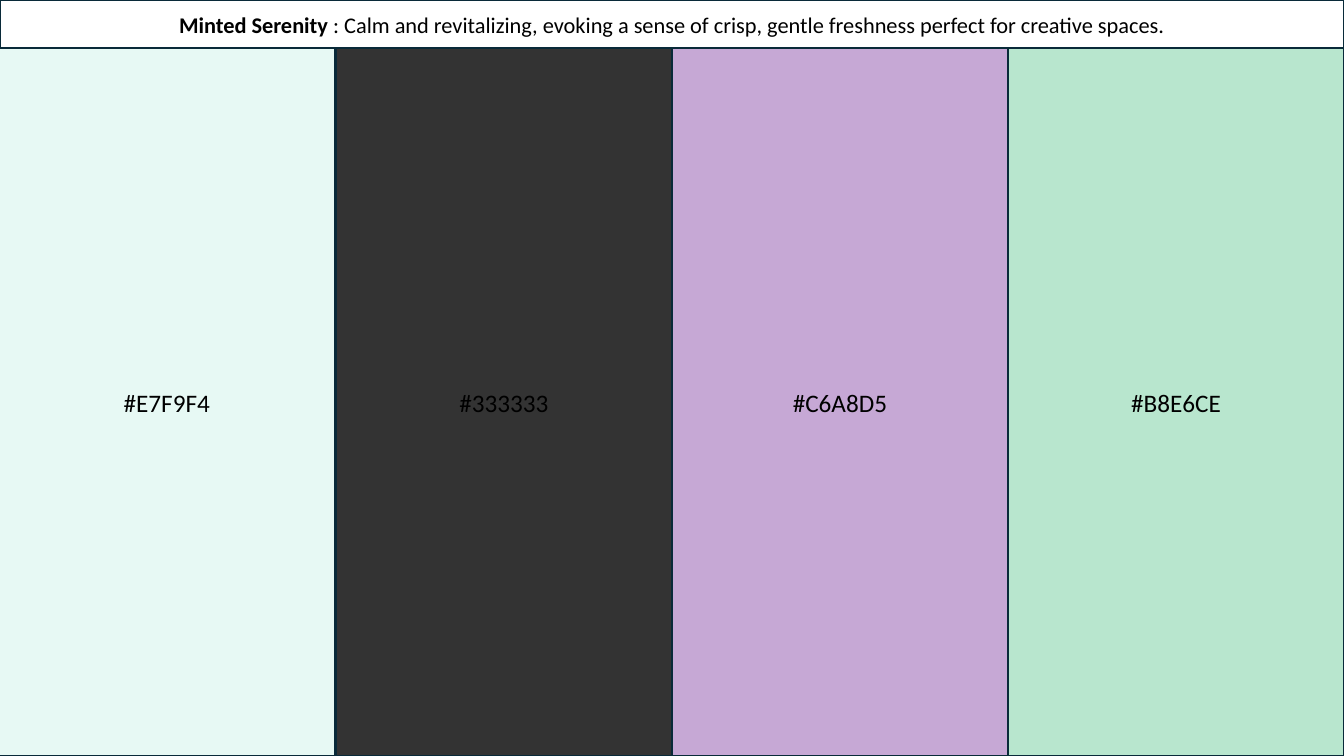
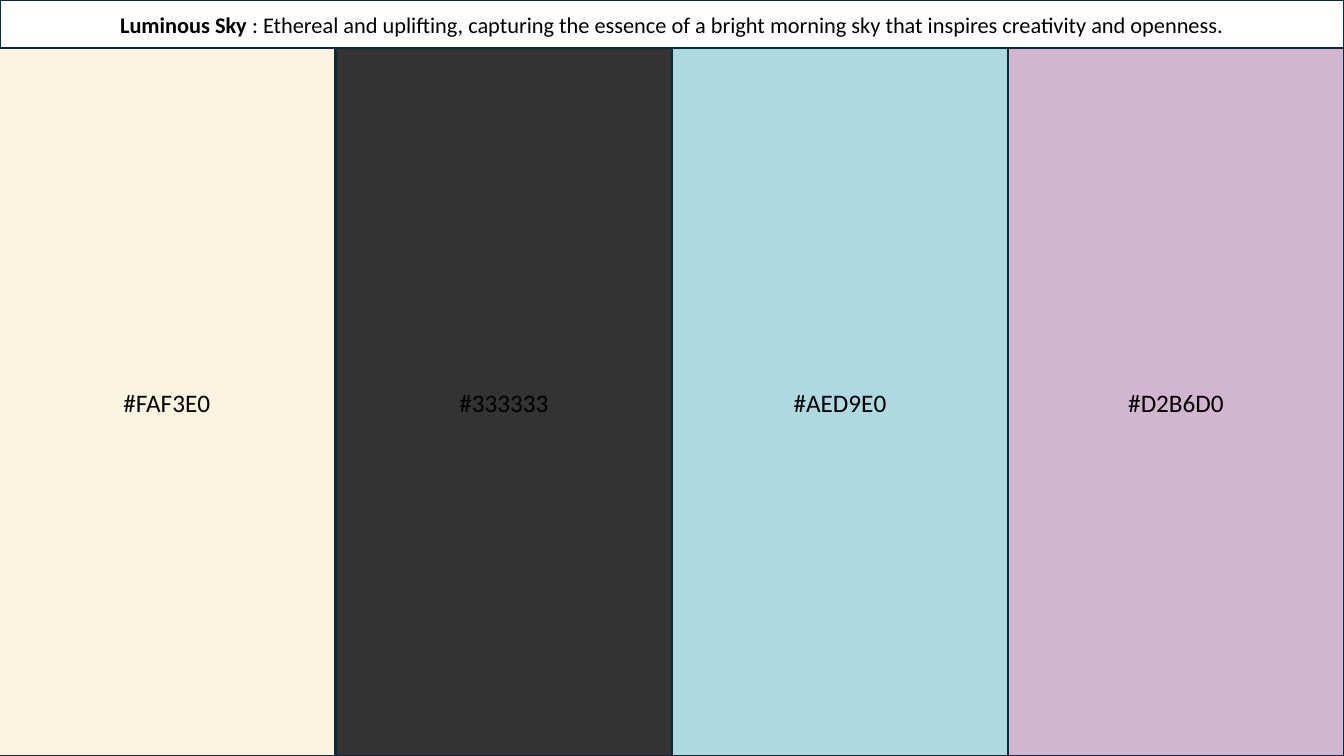
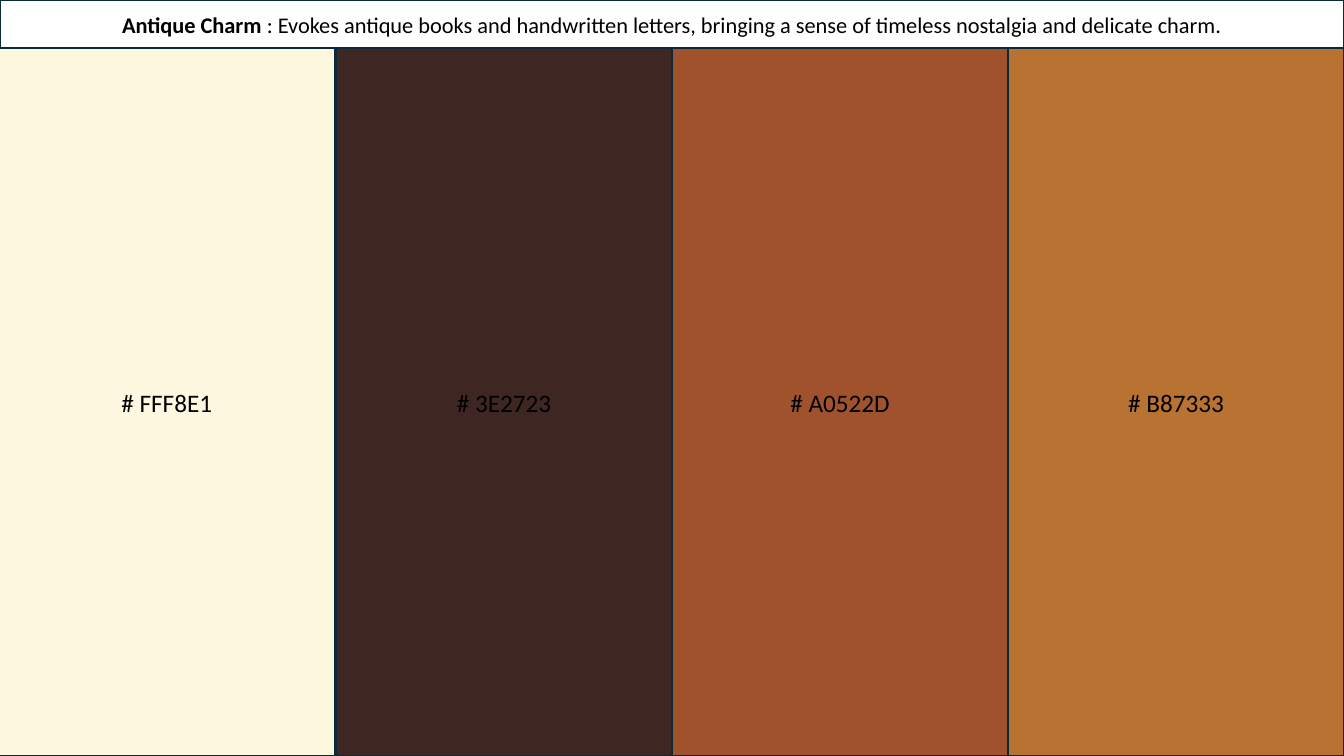
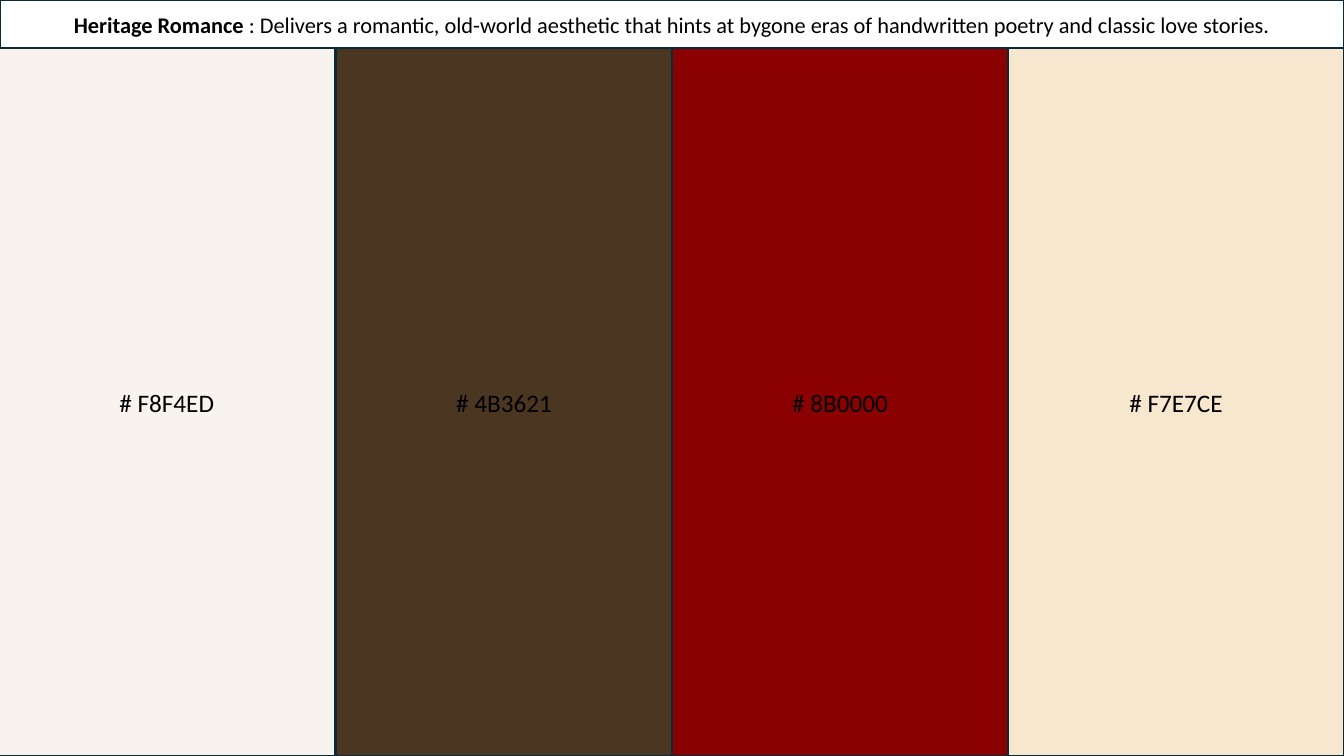
from dataclasses import dataclass

from pptx import Presentation
from pptx.dml.color import RGBColor
from pptx.enum.shapes import MSO_SHAPE
from pptx.enum.text import MSO_ANCHOR, MSO_AUTO_SIZE, PP_ALIGN
from pptx.util import Cm, Pt


@dataclass(frozen=True)
class Theme:
    font: str = "Calibri"
    text: str = "000000"
    band: str = "FFFFFF"
    border: str = "092A39"
    border_width: float = 1.5
    title_size: int = 16
    code_size: int = 18


THEME = Theme()

# Page geometry
SLIDE_WIDTH, SLIDE_HEIGHT = Cm(33.87), Cm(19.05)
BAND_HEIGHT = Cm(1.22)
FIRST_NUDGE = Cm(0.03)  # the first swatch sits slightly past the left edge
DRAW_ORDER = (0, 2, 3, 1)  # the dark swatch lies over its neighbours

# Palettes: name, mood, prefix of the colour codes, colours from left to right
PALETTES = [
    ("Minted Serenity",
     "Calm and revitalizing, evoking a sense of crisp, gentle freshness "
     "perfect for creative spaces.",
     "#", ("E7F9F4", "333333", "C6A8D5", "B8E6CE")),
    ("Luminous Sky",
     "Ethereal and uplifting, capturing the essence of a bright morning sky "
     "that inspires creativity and openness.",
     "#", ("FAF3E0", "333333", "AED9E0", "D2B6D0")),
    ("Antique Charm",
     "Evokes antique books and handwritten letters, bringing a sense of "
     "timeless nostalgia and delicate charm.",
     "# ", ("FFF8E1", "3E2723", "A0522D", "B87333")),
    ("Heritage Romance",
     "Delivers a romantic, old-world aesthetic that hints at bygone eras of "
     "handwritten poetry and classic love stories.",
     "# ", ("F8F4ED", "4B3621", "8B0000", "F7E7CE")),
]


def style_panel(panel, fill, size):
    """Give a panel its fill, border and centred text; return its paragraph."""
    panel.fill.solid()
    panel.fill.fore_color.rgb = RGBColor.from_string(fill)
    panel.line.color.rgb = RGBColor.from_string(THEME.border)
    panel.line.width = Pt(THEME.border_width)
    frame = panel.text_frame
    frame.word_wrap = True
    frame.auto_size = MSO_AUTO_SIZE.NONE
    frame.vertical_anchor = MSO_ANCHOR.MIDDLE
    paragraph = frame.paragraphs[0]
    paragraph.alignment = PP_ALIGN.CENTER
    paragraph.font.name = THEME.font
    paragraph.font.size = Pt(size)
    paragraph.font.color.rgb = RGBColor.from_string(THEME.text)
    return paragraph


def add_title_band(slide, name, mood):
    band = slide.shapes.title
    band.left, band.top = Cm(0), Cm(0)
    band.width, band.height = SLIDE_WIDTH, BAND_HEIGHT
    heading = style_panel(band, THEME.band, THEME.title_size)
    for text, bold in ((f"{name} ", True), (f": {mood}", False)):
        run = heading.add_run()
        run.text = text
        run.font.bold = bold


def add_swatch(slide, left, width, colour, code):
    swatch = slide.shapes.add_shape(
        MSO_SHAPE.RECTANGLE, left, BAND_HEIGHT, width, SLIDE_HEIGHT - BAND_HEIGHT)
    swatch.shadow.inherit = False
    style_panel(swatch, colour, THEME.code_size).add_run().text = code


def add_palette_slide(deck, name, mood, prefix, colours):
    slide = deck.slides.add_slide(deck.slide_layouts[5])  # title only
    add_title_band(slide, name, mood)
    width = SLIDE_WIDTH // len(colours)
    for column in DRAW_ORDER:
        left = column * width if column else -FIRST_NUDGE
        add_swatch(slide, left, width, colours[column], prefix + colours[column])


def main():
    deck = Presentation()
    deck.slide_width, deck.slide_height = SLIDE_WIDTH, SLIDE_HEIGHT
    for palette in PALETTES:
        add_palette_slide(deck, *palette)
    deck.save("out.pptx")


if __name__ == "__main__":
    main()
